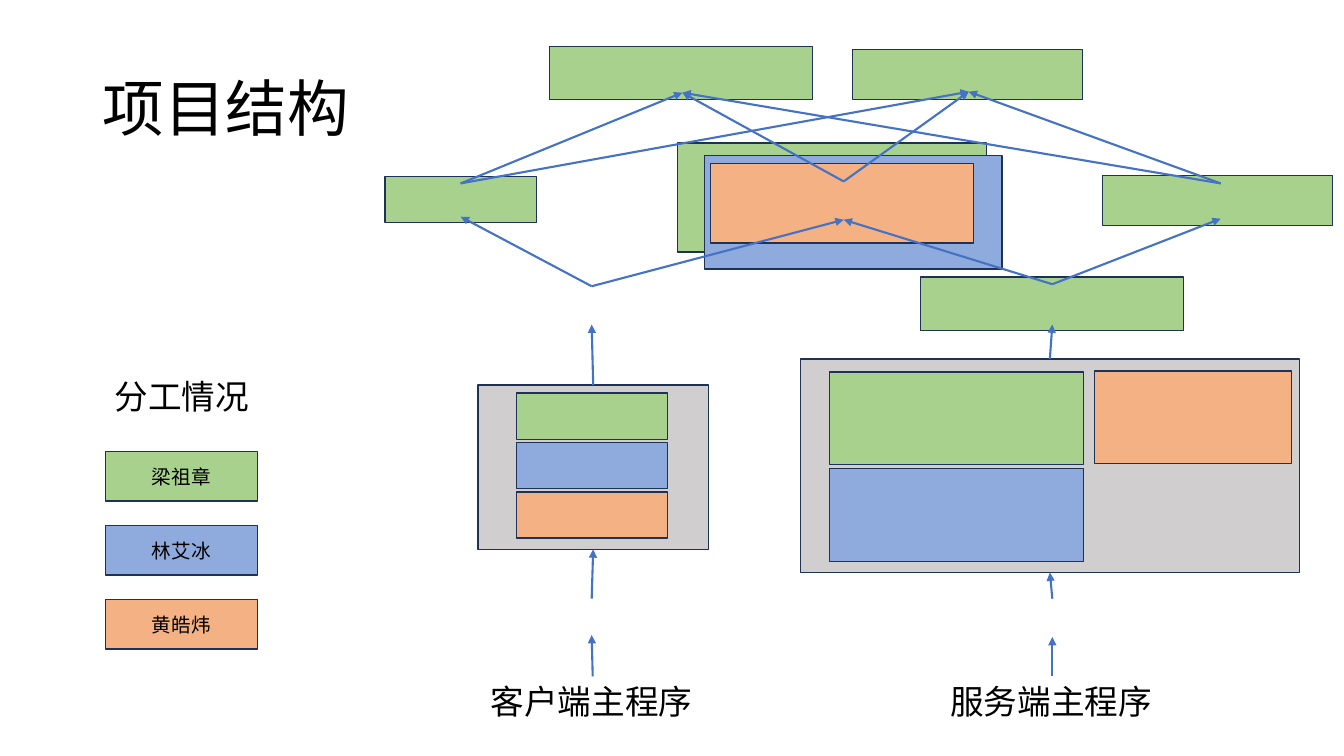
from dataclasses import dataclass
from lxml import etree
from pptx import Presentation
from pptx.dml.color import RGBColor
from pptx.enum.shapes import MSO_CONNECTOR as Connector, MSO_SHAPE as Preset
from pptx.enum.text import MSO_ANCHOR as Anchor, MSO_AUTO_SIZE as AutoSize, PP_ALIGN as Align
from pptx.oxml.ns import qn
from pptx.util import Inches, Pt


@dataclass(frozen=True)
class Theme:
    font: str = "Noto Sans CJK SC"
    text: str = "000000"
    green: str = "A9D18E"
    blue: str = "8FAADC"
    orange: str = "F4B183"
    gray: str = "D0CECE"
    outline: str = "1E3256"
    arrow: str = "4472C4"
    title_size: int = 44
    heading_size: int = 24
    label_size: int = 14
    outline_width: int = 1
    arrow_width: float = 1.5


THEME = Theme()

# All lengths are cells of a square grid, ten cells to the inch.
COLUMNS, ROWS = 133.33, 75
CELL = Inches(0.1)

TITLE = ("项目结构", (9.2, 3.8, 115, 14.5))
HEADINGS = {
    "client": ("客户端主程序", (47.7, 67.1, 22.2, 5)),
    "server": ("服务端主程序", (93.3, 67.1, 22.2, 5)),
    "legend": ("分工情况", (10.4, 36.8, 15.5, 5)),
}

# Back to front: name, colour, (left, top, width, height)
BOXES = [
    ("shared back", THEME.green, (67.2, 14.2, 30.7, 10.8)),
    ("shared middle", THEME.blue, (69.9, 15.4, 29.5, 11.3)),
    ("shared front", THEME.orange, (70.5, 16.2, 26.1, 7.9)),
    ("server module", THEME.green, (91.3, 27.5, 26.1, 5.3)),
    ("top left", THEME.green, (54.5, 4.6, 26.1, 5.3)),
    ("top right", THEME.green, (84.6, 4.9, 22.8, 5)),
    ("right module", THEME.green, (109.4, 17.4, 22.8, 5)),
    ("left module", THEME.green, (38.2, 17.5, 15, 4.6)),
    ("client", THEME.gray, (47.4, 38.2, 22.9, 16.3)),
    ("server", THEME.gray, (79.4, 35.6, 49.5, 21.2)),
    ("server extra", THEME.orange, (108.6, 36.8, 19.5, 9.2)),
]

# Stacks of equal boxes: first box, row pitch, (colour, label) from the top
STACKS = [
    ((82.3, 36.9, 25.2, 9.2), 9.6, [(THEME.green, ""), (THEME.blue, "")]),
    ((51.25, 39, 15, 4.6), 4.9,
     [(THEME.green, ""), (THEME.blue, ""), (THEME.orange, "")]),
    ((10.45, 44.8, 15.1, 4.9), 7.35,
     [(THEME.green, "梁祖章"), (THEME.blue, "林艾冰"), (THEME.orange, "黄皓炜")]),
]

LEFT_TOP, CENTRE_TOP, RIGHT_TOP = (45.7, 18.2), (83.7, 18), (121.1, 18.2)
LEFT_BASE, CENTRE_BASE, RIGHT_BASE = (45.7, 21.5), (83.7, 21.8), (121.1, 21.7)
CLIENT_HUB, SERVER_HUB = (58.7, 28.4), (104.4, 28.2)
FANS = [
    ((LEFT_TOP, CENTRE_TOP, RIGHT_TOP), ((67.7, 9.2), (96.1, 9.1))),
    ((CLIENT_HUB,), (LEFT_BASE, CENTRE_BASE)),
    ((SERVER_HUB,), (CENTRE_BASE, RIGHT_BASE)),
]

TOP, BOTTOM = 0, 2
# Each end is a point, or a (box name, side) pair to be joined.
FLOWS = [
    (("client", TOP), (58.7, 32.2)),
    (("server", TOP), (104.4, 32.2)),
    ((58.7, 59.4), ("client", BOTTOM)),
    ((104.4, 59.4), ("server", BOTTOM)),
    (("client heading", TOP), (58.7, 63)),
    (("server heading", TOP), (104.4, 63.2)),
]


def cells(*values):
    return [round(value * CELL) for value in values]


def add_run(paragraph, text, size):
    run = paragraph.add_run()
    run.text = text
    font = run.font
    font.name, font.size = THEME.font, Pt(size)
    font.color.rgb = RGBColor.from_string(THEME.text)
    east_asian = etree.SubElement(run._r.get_or_add_rPr(), qn("a:ea"))
    east_asian.set("typeface", THEME.font)


def add_box(slide, color, area, label=""):
    shape = slide.shapes.add_shape(Preset.RECTANGLE, *cells(*area))
    shape.shadow.inherit = False
    shape.fill.solid()
    shape.fill.fore_color.rgb = RGBColor.from_string(color)
    shape.line.color.rgb = RGBColor.from_string(THEME.outline)
    shape.line.width = Pt(THEME.outline_width)
    if label:
        shape.text_frame.vertical_anchor = Anchor.MIDDLE
        paragraph = shape.text_frame.paragraphs[0]
        paragraph.alignment = Align.CENTER
        add_run(paragraph, label, THEME.label_size)
    return shape


def add_text(slide, text, area, size):
    shape = slide.shapes.add_textbox(*cells(*area))
    add_run(shape.text_frame.paragraphs[0], text, size)
    return shape


def add_title(slide):
    frame = add_text(slide, *TITLE, THEME.title_size).text_frame
    frame.word_wrap = True
    frame.vertical_anchor = Anchor.MIDDLE
    frame.paragraphs[0].line_spacing = 0.9


def add_heading(slide, text, area):
    shape = add_text(slide, text, area, THEME.heading_size)
    shape.text_frame.word_wrap = False
    shape.text_frame.auto_size = AutoSize.SHAPE_TO_FIT_TEXT
    return shape


def add_arrow(slide, start, end, targets):
    """Draw an arrow, joining every end that names a shape."""
    points = [(0, 0) if point[0] in targets else point for point in (start, end)]
    arrow = slide.shapes.add_connector(
        Connector.STRAIGHT, *cells(*points[0], *points[1]))
    for point, connect in ((start, arrow.begin_connect), (end, arrow.end_connect)):
        if point[0] in targets:
            connect(targets[point[0]], point[1])
    arrow.line.color.rgb = RGBColor.from_string(THEME.arrow)
    arrow.line.width = Pt(THEME.arrow_width)
    etree.SubElement(arrow.line._get_or_add_ln(), qn("a:tailEnd")).set("type", "triangle")
    etree.SubElement(arrow._element.spPr, qn("a:effectLst"))


def main():
    presentation = Presentation()
    presentation.slide_width, presentation.slide_height = cells(COLUMNS, ROWS)
    slide = presentation.slides.add_slide(presentation.slide_layouts[6])

    targets = {name: add_box(slide, color, area) for name, color, area in BOXES}
    for (left, top, width, height), pitch, items in STACKS:
        for row, (color, label) in enumerate(items):
            add_box(slide, color, (left, top + row * pitch, width, height), label)

    add_title(slide)
    for name, (text, area) in HEADINGS.items():
        targets[f"{name} heading"] = add_heading(slide, text, area)

    for starts, ends in FANS:
        for start in starts:
            for end in ends:
                add_arrow(slide, start, end, targets)
    for start, end in FLOWS:
        add_arrow(slide, start, end, targets)

    presentation.save("out.pptx")


if __name__ == "__main__":
    main()
